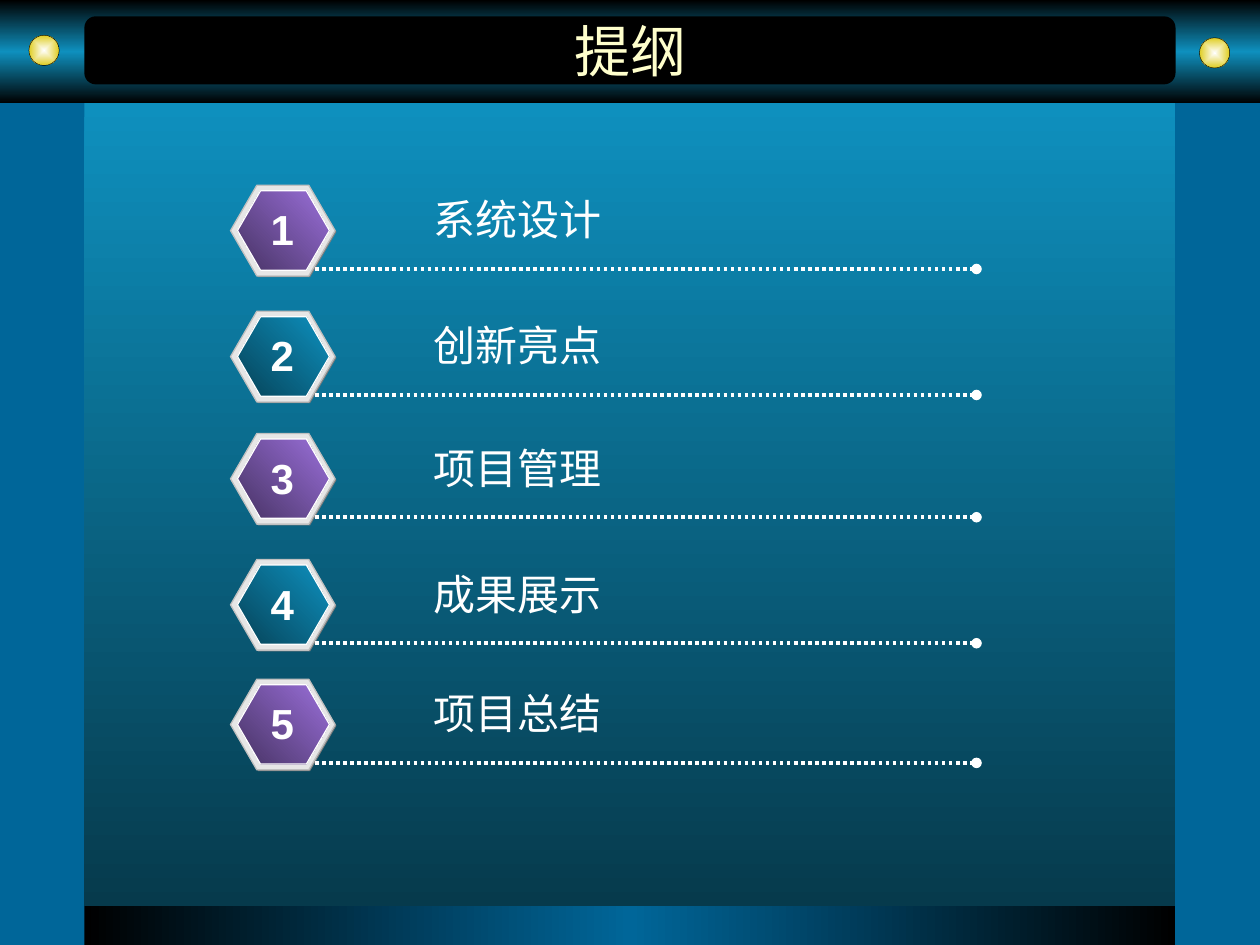
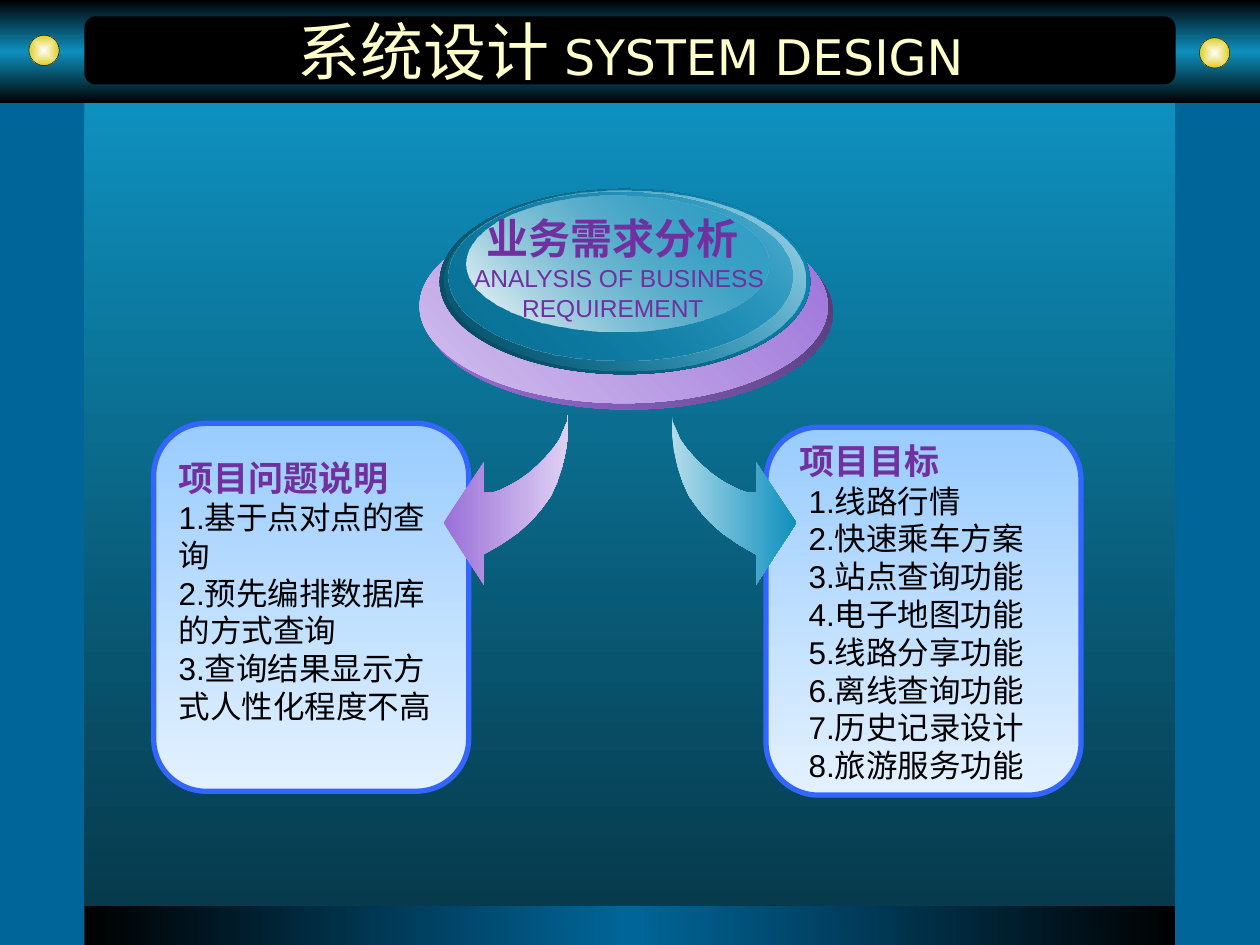
from lxml import etree
from pptx import Presentation
from pptx.dml.color import RGBColor
from pptx.enum.dml import MSO_LINE
from pptx.enum.shapes import MSO_CONNECTOR, MSO_SHAPE
from pptx.enum.text import MSO_ANCHOR, MSO_AUTO_SIZE, PP_ALIGN
from pptx.oxml.ns import qn
from pptx.util import Inches, Pt

RECT, ROUND = MSO_SHAPE.RECTANGLE, MSO_SHAPE.ROUNDED_RECTANGLE
OVAL, HEXAGON = MSO_SHAPE.OVAL, MSO_SHAPE.HEXAGON
LEFT, CENTER = PP_ALIGN.LEFT, PP_ALIGN.CENTER
COLORS = {
    "black": "000000", "white": "FFFFFF", "cream": "FFFFCC", "gold": "DFCD21",
    "base": "006699", "aqua": "0E90BE", "deep": "063A4C", "teal": "064358",
    "sea": "0B7297", "mist": "ABD8E8", "ice": "B2DCEA",
    "violet": "9A6FD9", "plum": "473364", "dusk": "4B366A", "lilac": "D2BFEE",
    "pale": "DFD1F3", "heading": "7030A0", "sky": "99CCFF", "frost": "E3F1FF",
    "border": "3366FF", "shade": "808080", "rim": "E6E6E6", "edge": "C0C0C0",
}
RGB = {name: RGBColor.from_string(value) for name, value in COLORS.items()}

prs = Presentation()
prs.slide_width, prs.slide_height = Inches(10), Inches(7.5)
CELL = prs.slide_width // 100


def draw(s, outline, box=None, fill=(), ang=None, line=None, width=0.75):
    if box:
        sp = s.shapes.add_shape(outline, *[round(v * CELL) for v in box])
    else:
        sp = outline.convert_to_shape()
    sp.shadow.inherit = False
    if len(fill) == 1:
        sp.fill.solid()
        sp.fill.fore_color.rgb = RGB[fill[0]]
    else:
        grad = etree.Element(qn("a:gradFill"), rotWithShape="1")
        stops = etree.SubElement(grad, qn("a:gsLst"))
        for i, stop in enumerate(fill):
            name, _, opacity = stop.partition(":")
            gs = etree.SubElement(stops, qn("a:gs"), pos=str(100000 * i // (len(fill) - 1)))
            clr = etree.SubElement(gs, qn("a:srgbClr"), val=COLORS[name])
            if opacity:
                etree.SubElement(clr, qn("a:alpha"), val=str(int(opacity) * 1000))
        if ang is None:
            path = etree.SubElement(grad, qn("a:path"), path="rect")
            etree.SubElement(path, qn("a:fillToRect"), l="50000", t="50000", r="50000", b="50000")
        else:
            etree.SubElement(grad, qn("a:lin"), ang=str(ang * 60000), scaled="0")
        sp.element.spPr.insert(2, grad)
    if line:
        sp.line.color.rgb = RGB[line]
        sp.line.width = Pt(width)
    else:
        sp.line.fill.background()
    return sp


def write(s, box, lines, align=LEFT):
    tf = s.shapes.add_textbox(*[round(v * CELL) for v in box]).text_frame
    tf.word_wrap = True
    for i, (text, size, color, bold, indent) in enumerate(lines):
        p = tf.paragraphs[0] if i == 0 else tf.add_paragraph()
        p.text = text
        p.alignment = align
        if indent:
            p._p.get_or_add_pPr().set("marL", str(round(indent * CELL)))
        r = p.runs[0]
        r.font.name, r.font.size, r.font.bold = "Arial", Pt(size), bold
        r.font.color.rgb = RGB[color]


master = prs.slide_master
master.background.fill.solid()
master.background.fill.fore_color.rgb = RGB["base"]
titles = [
    [("提纲", 32)],
    [("系统设计 ", 36), ("SYSTEM DESIGN", 28)],
]
slides = []
for parts in titles:
    s = prs.slides.add_slide(prs.slide_layouts[5])
    title = s.shapes.title
    title.left, title.top, title.width, title.height = [
        round(v * CELL) for v in (6.7, 1.5, 86.7, 5)]
    tf = title.text_frame
    tf.auto_size = MSO_AUTO_SIZE.NONE
    tf.vertical_anchor = MSO_ANCHOR.MIDDLE
    p = tf.paragraphs[0]
    p.alignment = CENTER
    for text, size in parts:
        r = p.add_run()
        r.text = text
        r.font.name, r.font.size = "DejaVu Sans", Pt(size)
        r.font.color.rgb = RGB["cream"]
    slides.append(s)
outline_slide, design_slide = slides

s = outline_slide
frame = [
    draw(s, RECT, (0, 0, 100, 8.2), ("black", "aqua", "black"), 90),
    draw(s, ROUND, (6.7, 1.3, 86.6, 5.4), ("black",)),
    draw(s, RECT, (6.7, 71.8, 86.6, 3.2), ("black", "base", "black"), 0),
    draw(s, RECT, (6.7, 8.2, 86.6, 63.7), ("aqua", "deep"), 90),
]
for x, y in [(2.3, 2.8), (95.2, 3)]:
    frame.append(draw(s, OVAL, (x, y, 2.4, 2.4), ("white", "gold"), None, "black", 0.25))
for number, sp in enumerate(frame, 100):
    sp.element.nvSpPr.cNvPr.set("id", str(number))
    master.shapes.element.append(sp.element)

topics = [("系统设计", 14.7), ("创新亮点", 24.7), ("项目管理", 34.4),
          ("成果展示", 44.4), ("项目总结", 53.9)]
for i, (topic, top) in enumerate(topics):
    tint = ("teal", "aqua") if i % 2 else ("plum", "violet")
    layers = [
        ((18.4, top + 0.1, 8.3, 7.2), ("shade",), None),
        ((18.3, top, 8.3, 7.2), ("rim",), "edge"),
        ((18.85, top + 0.45, 7.3, 6.3), tint, "white"),
    ]
    for box, fill, line in layers:
        sp = draw(s, HEXAGON, box, fill, 315, line)
        sp.adjustments[0] = 0.29
    y = round((top + 6.65) * CELL)
    cx = s.shapes.add_connector(MSO_CONNECTOR.STRAIGHT, 25 * CELL, y, round(77.5 * CELL), y)
    cx.line.color.rgb = RGB["white"]
    cx.line.width = Pt(2)
    cx.line.dash_style = MSO_LINE.ROUND_DOT
    etree.SubElement(cx.line._get_or_add_ln(), qn("a:tailEnd"), type="oval")
    etree.SubElement(cx.element.spPr, qn("a:effectLst"))
    write(s, (33.4, top + 0.2, 20, 5), [(topic, 24, "white", False, 0)])
    write(s, (20.5, top + 1, 3.8, 5), [(str(i + 1), 24, "white", True, 0)], CENTER)

s = design_slide
problems = ["基于点对点的查询", "预先编排数据库的方式查询", "查询结果显示方式人性化程度不高"]
goals = ["线路行情", "快速乘车方案", "站点查询功能", "电子地图功能",
         "线路分享功能", "离线查询功能", "历史记录设计", "旅游服务功能"]
arrow = [(0, 0), (0, 15), (2, 30), (5, 43), (9, 55), (14, 66), (22, 77), (30, 86),
         (40, 95), (53, 104), (67, 112), (67, 136), (99, 87), (67, 39), (67, 63),
         (60, 63), (54, 61), (46, 57), (39, 53), (32, 48), (25, 42), (18, 35),
         (12, 28), (7, 21), (4, 14), (1, 7)]
panels = [
    ("项目问题说明", problems, 0, (12.2, 33.6), (13.2, 35.7, 22.3, 22.4),
     451, -1, ("violet", "pale")),
    ("项目目标", goals, 0.7, (60.8, 33.9), (62.5, 34.4, 22.3, 28.4),
     533, 1, ("ice", "aqua")),
]
for heading, items, indent, corner, text_box, tip, side, tint in panels:
    draw(s, ROUND, (*corner, 25, 29.2), ("sky", "frost"), 90, "border", 3)
    lines = [(heading, 20, "heading", True, 0)]
    lines += [(f"{n}.{item}", 18, "black", False, indent) for n, item in enumerate(items, 1)]
    write(s, text_box, lines)
    points = [(tip + side * dx, 328 + dy) for dx, dy in arrow]
    fb = s.shapes.build_freeform(*points[0], scale=CELL / 10)
    fb.add_line_segments(points[1:], close=True)
    draw(s, fb, fill=tint, ang=0)

rings = [
    ((33.7, 17.1, 32.4, 15.4), ("violet", "dusk")),
    ((33.3, 16.6, 32.4, 15.4), ("lilac", "violet")),
    ((34.9, 15, 29.4, 14.7), ("teal", "aqua")),
    ((35.3, 15.1, 28.6, 14.3), ("aqua:0", "mist")),
    ((35.6, 15.2, 27.3, 13.4), ("sea", "aqua:48")),
    ((37, 15.5, 24, 10.8), ("white", "aqua:38")),
]
for box, fill in rings:
    draw(s, OVAL, box, fill, 315)
write(s, (35, 16.4, 27.3, 9.7), [
    ("业务需求分析", 24, "heading", True, 0),
    ("ANALYSIS OF BUSINESS", 14, "heading", False, 1),
    ("REQUIREMENT", 14, "heading", False, 0),
], CENTER)

prs.save("out.pptx")
